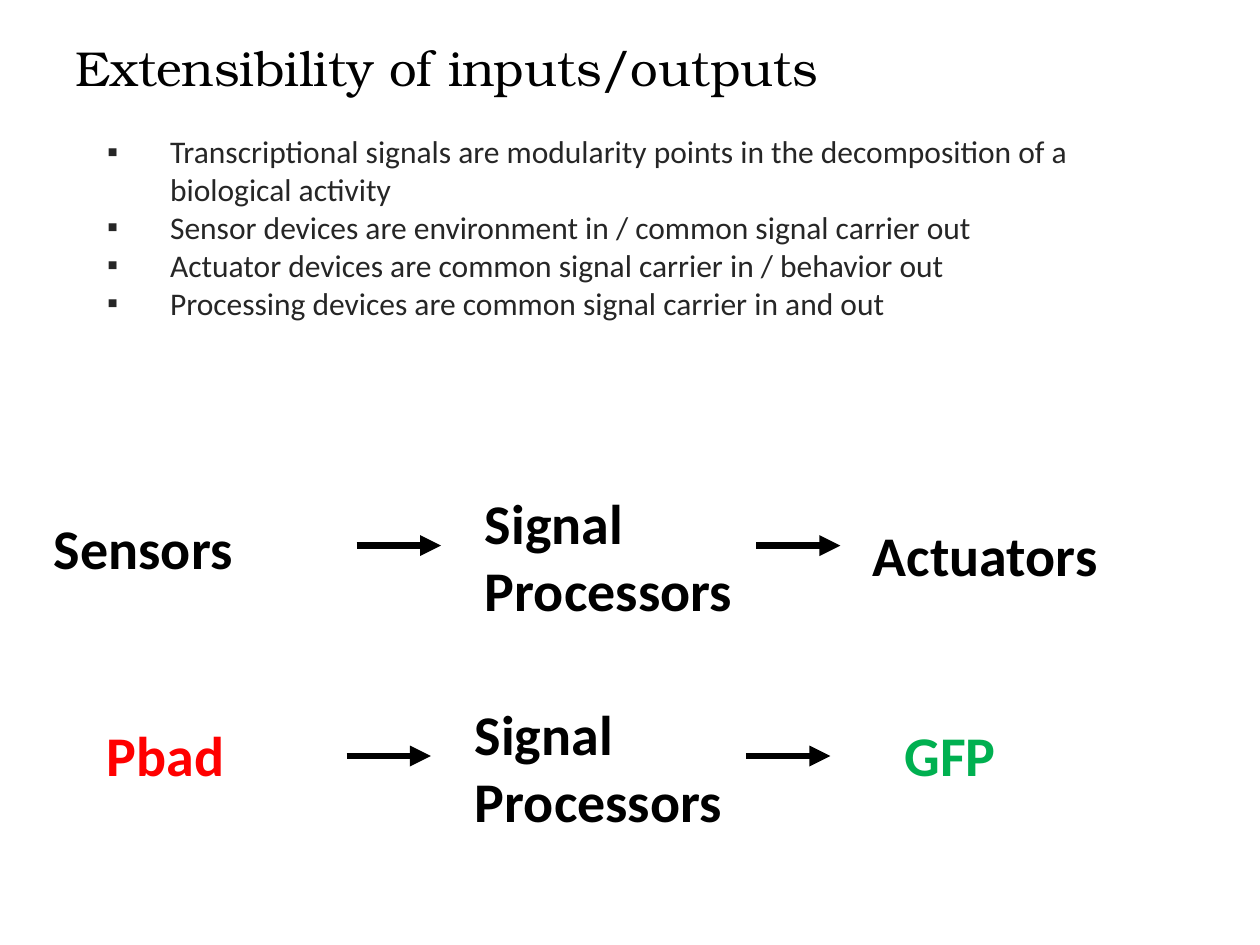
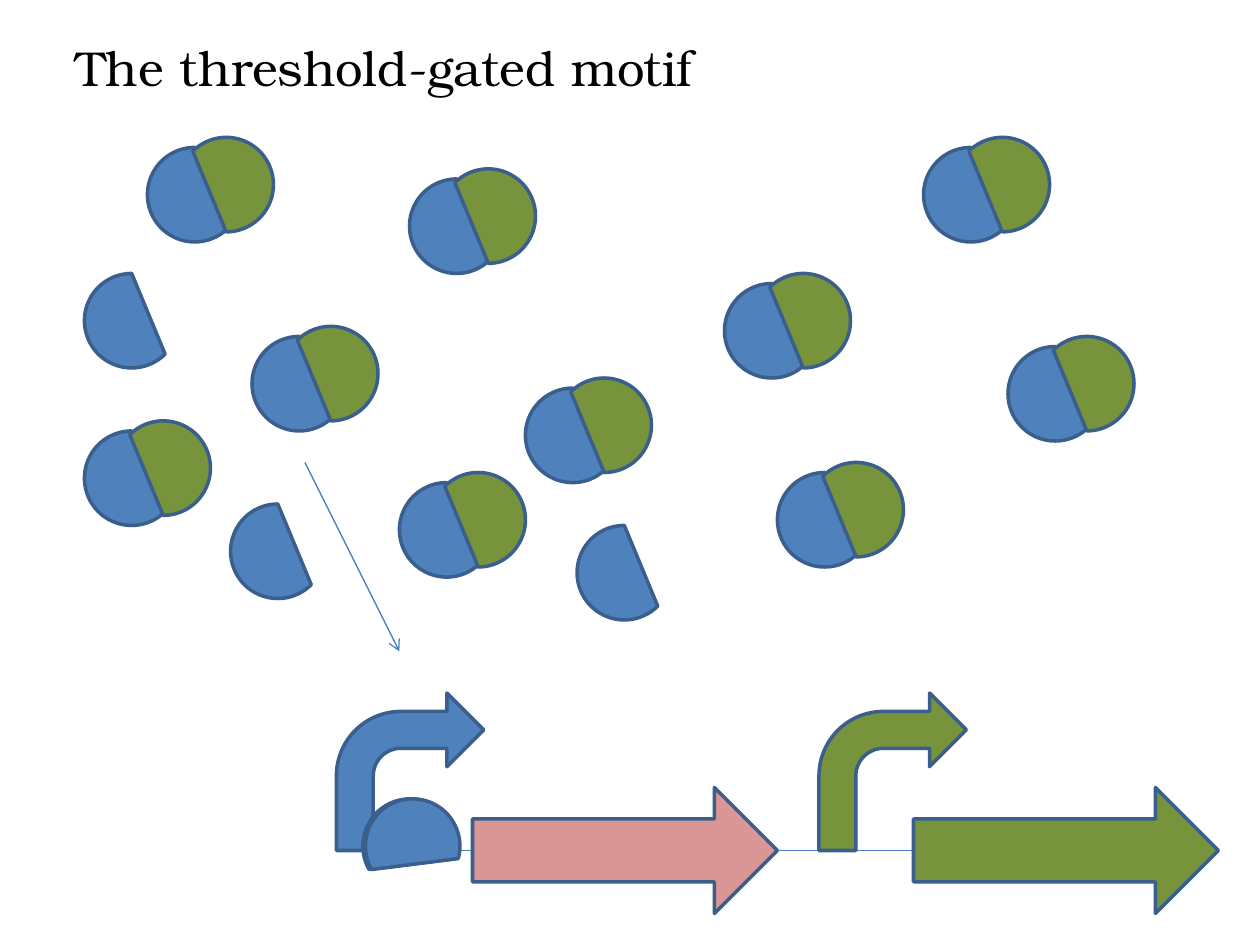
"""Build two slides on signal devices and the threshold-gated motif."""
from lxml import etree
from pptx import Presentation
from pptx.dml.color import RGBColor
from pptx.enum import shapes, text
from pptx.oxml import ns
from pptx.util import Inches, Pt

BLACK, BODY_GRAY, RED, BRIGHT_GREEN = "000000", "262626", "FF0000", "00B050"
BLUE, GREEN, PINK = "4F81BD", "77933C", "D99694"
OUTLINE, THIN_LINE = "3A5F8C", "4B7EBC"
TITLE_FONT, BODY_FONT = "TeX Gyre Bonum", "Calibri"
SIDE = 0.75
FRAME = {"word_wrap": True, "auto_size": text.MSO_AUTO_SIZE.NONE,
         "vertical_anchor": text.MSO_ANCHOR.TOP}

STATEMENTS = [
    "Transcriptional signals are modularity points in the decomposition of a biological activity",
    "Sensor devices are environment in / common signal carrier out",
    "Actuator devices are common signal carrier in / behavior out",
    "Processing devices are common signal carrier in and out",
]
STAGES = [
    ("Signal Processors", 3.75, 3.83, 1.17, BLACK),
    ("Sensors", 0.33, 4.03, 0.63, BLACK),
    ("Actuators", 6.83, 4.08, 0.63, BLACK),
    ("GFP", 7.08, 5.67, 0.63, BRIGHT_GREEN),
    ("Pbad", 0.75, 5.67, 0.63, RED),
    ("Signal Processors", 3.67, 5.5, 1.17, BLACK),
]
STAGE_ARROWS = [(2.83, 4.33), (6, 4.33), (2.75, 6), (5.92, 6)]
DIMERS = [(2, 2.67), (4.17, 3.08), (3.25, 1.42), (5.75, 2.25), (6.17, 3.75),
          (7.33, 1.17), (8, 2.75), (1.17, 1.17), (0.67, 3.42), (3.17, 3.83)]
MONOMERS = [(1.83, 4), (0.67, 2.17), (4.58, 4.17)]
BOUND_MONOMERS = [(2.88, 6.34), (2.9, 6.34)]


def color(value):
    """Turn a hex string into a colour."""
    return RGBColor.from_string(value)


def apply(target, values):
    """Set every attribute named in a dict of format values."""
    for name, value in values.items():
        setattr(target, name, value)


def place(element, left, top, width, height):
    """Position an element, with lengths in inches."""
    apply(element, {"left": Inches(left), "top": Inches(top),
                    "width": Inches(width), "height": Inches(height)})


def write(frame, lines, font, size, ink, bold=False):
    """Fill a text frame with left-aligned paragraphs."""
    apply(frame, FRAME)
    frame.text = "\n".join(lines)
    for paragraph in frame.paragraphs:
        apply(paragraph, {"alignment": text.PP_ALIGN.LEFT, "space_before": Pt(0)})
        run_font = paragraph.runs[0].font
        apply(run_font, {"name": font, "size": Pt(size), "bold": bold})
        run_font.color.rgb = color(ink)


def add_titled_slide(deck, layout, title):
    """Add a slide with the shared title style."""
    slide = deck.slides.add_slide(deck.slide_layouts[layout])
    place(slide.shapes.title, 0.5, 0.25, 9.42, 0.57)
    write(slide.shapes.title.text_frame, [title], TITLE_FONT, 28, BLACK)
    return slide


def add_statements(slide, statements):
    """Write the square-bulleted list in the body placeholder."""
    body = slide.placeholders[1]
    place(body, 0.75, 1, 8.33, 1.62)
    write(body.text_frame, statements, BODY_FONT, 18, BODY_GRAY)
    for paragraph in body.text_frame.paragraphs:
        properties = paragraph._p.get_or_add_pPr()
        properties.set("marL", str(Inches(0.5)))
        properties.set("indent", str(Inches(-0.5)))
        etree.SubElement(properties, ns.qn("a:buChar"), char="▪")


def add_stage(slide, label, left, top, height, ink):
    """Add one bold stage label of the signal chain."""
    stage = slide.shapes.add_textbox(Inches(left), Inches(top), Inches(2.92), Inches(height))
    write(stage.text_frame, [label], BODY_FONT, 32, ink, bold=True)


def add_line(slide, start, end, ink, width, head=None):
    """Draw a straight line, with an arrowhead at its end if one is given."""
    line = slide.shapes.add_connector(
        shapes.MSO_CONNECTOR.STRAIGHT, *map(Inches, start + end))
    line.line.color.rgb = color(ink)
    line.line.width = Pt(width)
    properties = line._element.spPr
    if head:
        etree.SubElement(properties.find(ns.qn("a:ln")), ns.qn("a:tailEnd"), type=head)
    etree.SubElement(properties, ns.qn("a:effectLst"))


def add_part(slide, preset, left, top, width, height, fill, rotation=0):
    """Add one outlined part of the motif."""
    part = slide.shapes.add_shape(
        preset, Inches(left), Inches(top), Inches(width), Inches(height))
    part.rotation = rotation
    part.shadow.inherit = False
    part.fill.solid()
    part.fill.fore_color.rgb = color(fill)
    part.line.color.rgb = color(OUTLINE)
    part.line.width = Pt(2)


def add_monomer(slide, left, top, fill=BLUE, rotation=0):
    """Add a single cut-off disc."""
    add_part(slide, shapes.MSO_SHAPE.CHORD, left, top, SIDE, SIDE, fill, rotation)


def add_dimer(slide, left, top):
    """Add a blue disc joined to a green one turned to face it."""
    add_monomer(slide, left, top)
    add_monomer(slide, left + 0.25, top - 0.08, GREEN, 180)


def add_promoter(slide, left, fill):
    """Add the bent arrow of a promoter."""
    add_part(slide, shapes.MSO_SHAPE.BENT_ARROW, left, 5.5, 1.17, 1.25, fill)


def add_gene(slide, left, fill):
    """Add the block arrow of a gene."""
    add_part(slide, shapes.MSO_SHAPE.RIGHT_ARROW, left, 6.25, 2.42, 1, fill)


def build_extensibility(deck):
    """Build the slide on inputs and outputs."""
    slide = add_titled_slide(deck, 1, "Extensibility of inputs/outputs")
    add_statements(slide, STATEMENTS)
    for stage in STAGES:
        add_stage(slide, *stage)
    for left, top in STAGE_ARROWS:
        add_line(slide, (left, top), (left + 0.67, top), BLACK, 4, "triangle")


def build_motif(deck):
    """Build the slide on the threshold-gated motif."""
    slide = add_titled_slide(deck, 5, "The threshold-gated motif")
    add_line(slide, (2.83, 6.75), (8.33, 6.75), THIN_LINE, 0.75)
    add_line(slide, (2.42, 3.67), (3.17, 5.17), THIN_LINE, 0.75, "arrow")
    for left, top in DIMERS:
        add_dimer(slide, left, top)
    for left, top in MONOMERS:
        add_monomer(slide, left, top)
    for promoter_left, gene_left, promoter_fill, gene_fill in (
            (2.67, 3.75, BLUE, PINK), (6.5, 7.25, GREEN, GREEN)):
        add_promoter(slide, promoter_left, promoter_fill)
        add_gene(slide, gene_left, gene_fill)
    for left, top in BOUND_MONOMERS:
        add_monomer(slide, left, top, rotation=105.3)


def main():
    """Build and save the deck."""
    deck = Presentation()
    apply(deck, {"slide_width": Inches(10), "slide_height": Inches(7.5)})
    build_extensibility(deck)
    build_motif(deck)
    deck.save("out.pptx")


if __name__ == "__main__":
    main()
